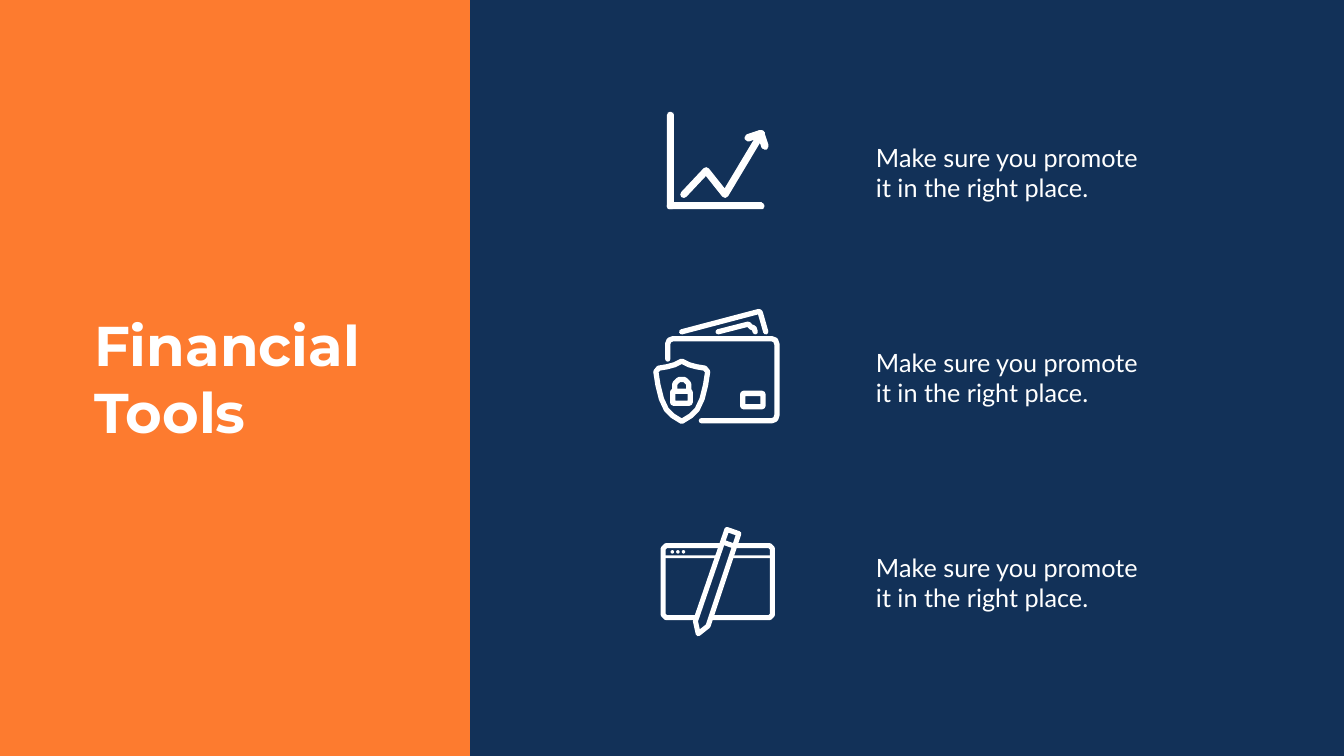
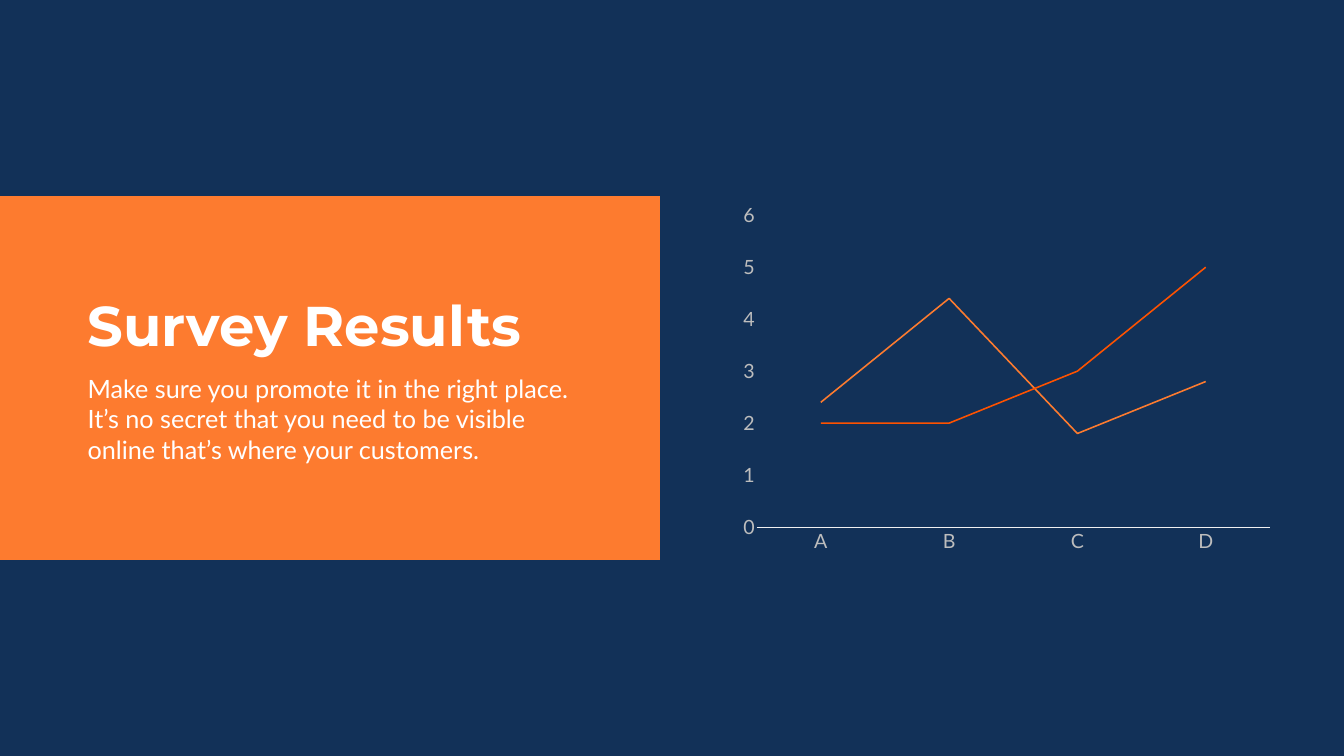
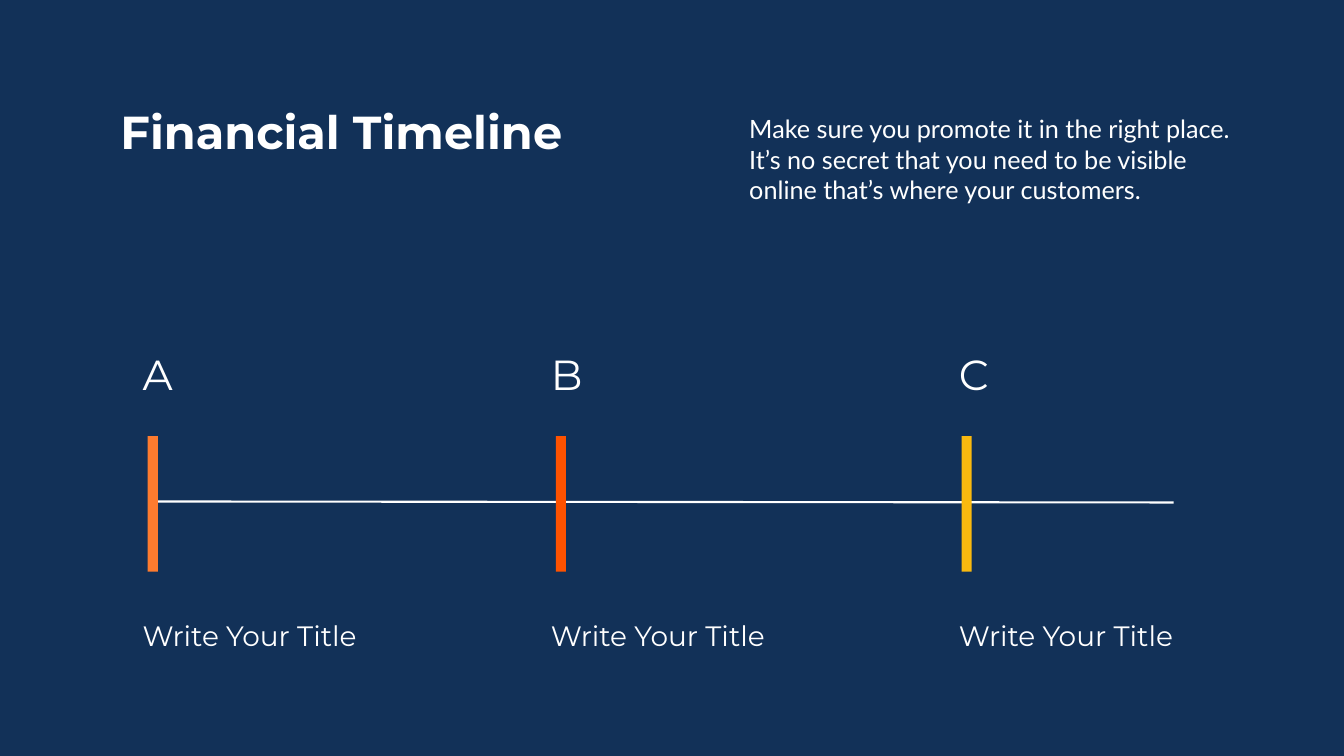
import math
from dataclasses import dataclass

from lxml import etree
from pptx import Presentation
from pptx.chart.data import CategoryChartData
from pptx.dml.color import RGBColor
from pptx.enum.chart import XL_CHART_TYPE, XL_MARKER_STYLE, XL_TICK_MARK
from pptx.enum.shapes import MSO_CONNECTOR, MSO_SHAPE
from pptx.enum.text import MSO_ANCHOR, MSO_AUTO_SIZE, PP_ALIGN
from pptx.oxml.ns import qn
from pptx.util import Pt

RECTANGLE, OVAL = MSO_SHAPE.RECTANGLE, MSO_SHAPE.OVAL
STRAIGHT = MSO_CONNECTOR.STRAIGHT
LINE_CHART = XL_CHART_TYPE.LINE
NO_MARKER = XL_MARKER_STYLE.NONE
NO_TICK = XL_TICK_MARK.NONE
TOP, LEFT = MSO_ANCHOR.TOP, PP_ALIGN.LEFT
GROW = MSO_AUTO_SIZE.SHAPE_TO_FIT_TEXT
TITLE_ONLY = 5


@dataclass(frozen=True)
class Theme:
    """Colours, fonts and type sizes of the deck."""
    navy: str = "123158"
    orange: str = "FD7B2F"
    red: str = "FE5200"
    yellow: str = "F9B90F"
    white: str = "FFFFFF"
    axis: str = "F0F0F0"
    tick_label: str = "BDBDBD"
    heading: str = "Montserrat"
    body: str = "Lato"
    title_size: int = 80
    small_title_size: int = 66
    letter_size: int = 60
    caption_size: int = 40
    body_size: int = 36
    chart_size: int = 28


THEME = Theme()

# Content; all lengths are points
WIDTH, HEIGHT = 1919.52, 1080
SIDE_WIDTH = 671

SHORT_TEXT = "Make sure you promote it in the right place."
LONG_TEXT = (SHORT_TEXT + " It’s no secret that you need to be visible "
             "online that’s where your customers.")

TOOL_TEXTS = [SHORT_TEXT] * 3
TOOL_TEXT_TOP, TOOL_PITCH = 200, 292.8

CATEGORIES = ["A", "B", "C", "D"]
SERIES = [
    ("Series 1", (4.3, 2.5, 3.5, 4.5), THEME.navy),
    ("Series 2", (2.4, 4.4, 1.8, 2.8), THEME.orange),
    ("Series 3", (2, 2, 3, 5), THEME.red),
]

STEP_LEFT, STEP_PITCH = 196.56, 583
STEPS = [  # letter, caption, bar left, bar colour
    ("A", "Write Your Title", 211, THEME.orange),
    ("B", "Write Your Title", 793.8, THEME.red),
    ("C", "Write Your Title", 1373.4, THEME.yellow),
]


def box(left, top, right, bottom, cut=1):
    """Return a rectangle's outline with its corners cut off."""
    return [(left + cut, top), (right - cut, top), (right, top + cut),
            (right, bottom - cut), (right - cut, bottom),
            (left + cut, bottom), (left, bottom - cut), (left, top + cut)]


def mirrored(half, axis):
    """Return a half outline, top to bottom, joined to its mirror image."""
    return half + [(2 * axis - x, y) for x, y in reversed(half[1:-1])]


def semicircle(center, radius, start):
    """Return the points of a half turn from the start angle."""
    angles = [start + math.pi * step / 12 for step in range(13)]
    return [(center[0] + radius * math.cos(angle),
             center[1] + radius * math.sin(angle)) for angle in angles]


def arch(center_x, center_y, radius, foot):
    """Return a semicircle with two straight legs down to foot."""
    return [(center_x - radius, foot),
            *semicircle((center_x, center_y), radius, math.pi),
            (center_x + radius, foot)]


def capsule(start, end, width):
    """Return the outline of a straight bar with round ends."""
    angle = math.atan2(end[1] - start[1], end[0] - start[0])
    return (semicircle(end, width / 2, angle - math.pi / 2)
            + semicircle(start, width / 2, angle + math.pi / 2))


SHIELD_HALF = [(42, 76), (52, 81), (63, 84), (75, 86.5), (79, 91), (76, 110),
               (71, 130), (64, 145), (55, 154), (42, 162)]

# Points from the icon's corner.  Bars: start, end, width.
# Strokes: points, line width, closed, fill.
ICONS = [
    {"at": (952.56, 159.84),  # growth chart
     "strokes": [
         ([(24, 118), (56, 84.5), (83, 118), (135, 31)], 10, False, None),
     ],
     "bars": [
         ((5, 5), (5, 134.3), 10),
         ((5, 134.3), (134, 134.3), 10),
         ((134, 31), (140, 49), 10),
         ((116, 37), (134, 31), 10),
     ]},
    {"at": (931.68, 440),  # safe wallet
     "strokes": [
         (box(129, 122, 158, 141), 7.5, True, None),
         ([(42, 34), (152, 5), (154.5, 6.5), (162, 34)], 7.5, False, None),
         ([(94, 34), (137, 23), (142, 28), (145, 28), (147, 34)],
          7.5, False, None),
         ([(70, 161), (171, 161), (176, 159), (178, 153), (178, 52),
           (176, 46), (171, 44), (29, 44), (24, 46), (22, 51), (22, 73)],
          7.5, False, None),
         (mirrored(SHIELD_HALF, 42), 7.5, True, None),
         (box(29, 119, 54, 136), 7.5, True, None),
         (arch(42, 112, 10, 119), 7.5, False, None),
     ]},
    {"at": (943.2, 752.4),  # design window
     "bars": [((4, 43), (160, 43), 4.5)],
     "strokes": [
         (box(4, 27, 160, 130, 4), 7.2, True, None),
         ([(95, 4), (112, 10), (68, 142), (54, 153), (50, 135)],
          7.2, True, THEME.navy),
         ([(89, 22), (106, 28)], 7.2, False, None),
     ],
     "dots": [(17, 36), (25, 36), (33, 36)]},
]
DOT = 5


def color(value):
    """Turn a hex string into a colour."""
    return RGBColor.from_string(value)


def paint(shape, fill):
    """Give a shape a flat fill without line or shadow."""
    shape.shadow.inherit = False
    shape.fill.solid()
    shape.fill.fore_color.rgb = color(fill)
    shape.line.fill.background()


def add_panel(shapes, left, top, width, height, fill, kind=RECTANGLE):
    """Add a flat coloured shape."""
    shape = shapes.add_shape(kind, Pt(left), Pt(top), Pt(width), Pt(height))
    paint(shape, fill)


def write(shape, text, font, size, bold=False):
    """Fill a shape with one left-aligned white paragraph."""
    frame = shape.text_frame
    frame.text = text
    frame.word_wrap = True
    frame.auto_size = GROW
    frame.vertical_anchor = TOP
    paragraph = frame.paragraphs[0]
    paragraph.alignment = LEFT
    paragraph.font.name = font
    paragraph.font.size = Pt(size)
    paragraph.font.bold = bold
    paragraph.font.color.rgb = color(THEME.white)


def add_text(slide, text, left, top, width, height,
             font=THEME.body, size=THEME.body_size):
    """Add a text box."""
    shape = slide.shapes.add_textbox(Pt(left), Pt(top), Pt(width), Pt(height))
    write(shape, text, font, size)


def place_title(slide, text, left, top, width, height, size=THEME.title_size):
    """Format the title placeholder and bring it in front of the panels."""
    title = slide.shapes.title
    title.left, title.top = Pt(left), Pt(top)
    title.width, title.height = Pt(width), Pt(height)
    write(title, text, THEME.heading, size, bold=True)
    tree = title._element.getparent()
    tree.append(title._element)


def add_slide(presentation, left=0):
    """Add a title-only slide with the navy backdrop from left onwards."""
    slide = presentation.slides.add_slide(
        presentation.slide_layouts[TITLE_ONLY])
    add_panel(slide.shapes, left, 0, WIDTH - left, HEIGHT, THEME.navy)
    return slide


def add_outline(shapes, origin, points, closed=True):
    """Add a freeform through the points."""
    builder = shapes.build_freeform(*points[0], scale=float(Pt(1)))
    builder.add_line_segments(points[1:], close=closed)
    return builder.convert_to_shape(Pt(origin[0]), Pt(origin[1]))


def add_stroke(shapes, origin, points, width, closed, fill):
    """Draw a white round-ended line through the points."""
    shape = add_outline(shapes, origin, points, closed)
    if fill:
        paint(shape, fill)
    else:
        shape.shadow.inherit = False
        shape.fill.background()
    shape.line.color.rgb = color(THEME.white)
    shape.line.width = Pt(width)
    outline = shape._element.spPr.find(qn("a:ln"))
    outline.set("cap", "rnd")
    etree.SubElement(outline, qn("a:round"))


def add_icon(slide, icon):
    """Draw one icon as a group of bars, strokes and dots."""
    shapes = slide.shapes.add_group_shape().shapes
    left, top = icon["at"]
    for bar in icon.get("bars", []):
        paint(add_outline(shapes, icon["at"], capsule(*bar)), THEME.white)
    for stroke in icon["strokes"]:
        add_stroke(shapes, icon["at"], *stroke)
    for x, y in icon.get("dots", []):
        add_panel(shapes, left + x - DOT / 2, top + y - DOT / 2,
                  DOT, DOT, THEME.white, OVAL)


def format_axis(axis):
    """Give a chart axis its quiet look."""
    axis.has_major_gridlines = False
    axis.major_tick_mark = axis.minor_tick_mark = NO_TICK
    font = axis.tick_labels.font
    font.name, font.size = THEME.body, Pt(THEME.chart_size)
    font.color.rgb = color(THEME.tick_label)


def add_survey_chart(slide, left, top, width, height):
    """Add the line chart of the survey."""
    data = CategoryChartData()
    data.categories = CATEGORIES
    for name, values, _ in SERIES:
        data.add_series(name, values)
    chart = slide.shapes.add_chart(LINE_CHART, Pt(left), Pt(top), Pt(width),
                                   Pt(height), data).chart
    chart.has_legend = chart.has_title = False
    chart.font.name, chart.font.size = THEME.body, Pt(THEME.chart_size)
    chart.plots[0].vary_by_categories = False
    for series, (_, _, line_color) in zip(chart.plots[0].series, SERIES):
        series.smooth = False
        series.marker.style = NO_MARKER
        series.format.line.color.rgb = color(line_color)
        series.format.line.width = Pt(2.25)
    format_axis(chart.category_axis)
    chart.category_axis.format.line.color.rgb = color(THEME.axis)
    chart.category_axis.format.line.width = Pt(0.75)
    format_axis(chart.value_axis)
    chart.value_axis.format.line.fill.background()
    chart.value_axis.minimum_scale = 0
    chart.value_axis.maximum_scale = 6
    chart.value_axis.major_unit = 1


def build_tools(presentation):
    """Build the slide with three icons and their texts."""
    slide = add_slide(presentation, SIDE_WIDTH)
    add_panel(slide.shapes, 0, 0, SIDE_WIDTH, HEIGHT, THEME.orange)
    place_title(slide, "Financial Tools", 127.2, 439.8, 416.16, 200.88)
    for icon in ICONS:
        add_icon(slide, icon)
    for index, text in enumerate(TOOL_TEXTS):
        add_text(slide, text, 1244, TOOL_TEXT_TOP + index * TOOL_PITCH,
                 409.68, 94.32)


def build_survey(presentation):
    """Build the slide with the orange band and the chart."""
    slide = add_slide(presentation)
    add_panel(slide.shapes, 0, 280, 942.5, 519.8, THEME.orange)
    place_title(slide, "Survey Results", 118, 411.84, 646.56, 104.4)
    add_text(slide, LONG_TEXT, 118, 529.92, 707, 138.24)
    add_survey_chart(slide, 1046, 280.2, 783.36, 519.8)


def build_timeline(presentation):
    """Build the slide with the three-step timeline."""
    slide = add_slide(presentation)
    place_title(slide, "Financial Timeline", 164.88, 144.2, 691.92, 87.12,
                THEME.small_title_size)
    line = slide.shapes.add_connector(STRAIGHT, Pt(225.36), Pt(716.4),
                                      Pt(1676.16), Pt(717.84))
    line.line.color.rgb = color(THEME.white)
    line.line.width = Pt(3)
    etree.SubElement(line._element.spPr, qn("a:effectLst"))
    for index, (letter, caption, bar_left, bar_color) in enumerate(STEPS):
        left = STEP_LEFT + index * STEP_PITCH
        add_panel(slide.shapes, bar_left, 623, 14.4, 193.5, bar_color)
        add_text(slide, letter, left, 493.92, 112.32, 79.92,
                 THEME.heading, THEME.letter_size)
        add_text(slide, caption, left, 879.84, 383, 55.44,
                 THEME.heading, THEME.caption_size)
    add_text(slide, LONG_TEXT, 1063, 158.8, 707, 138.24)


def main():
    """Build and save the deck."""
    presentation = Presentation()
    presentation.slide_width = Pt(WIDTH)
    presentation.slide_height = Pt(HEIGHT)
    build_tools(presentation)
    build_survey(presentation)
    build_timeline(presentation)
    presentation.save("out.pptx")


main()
